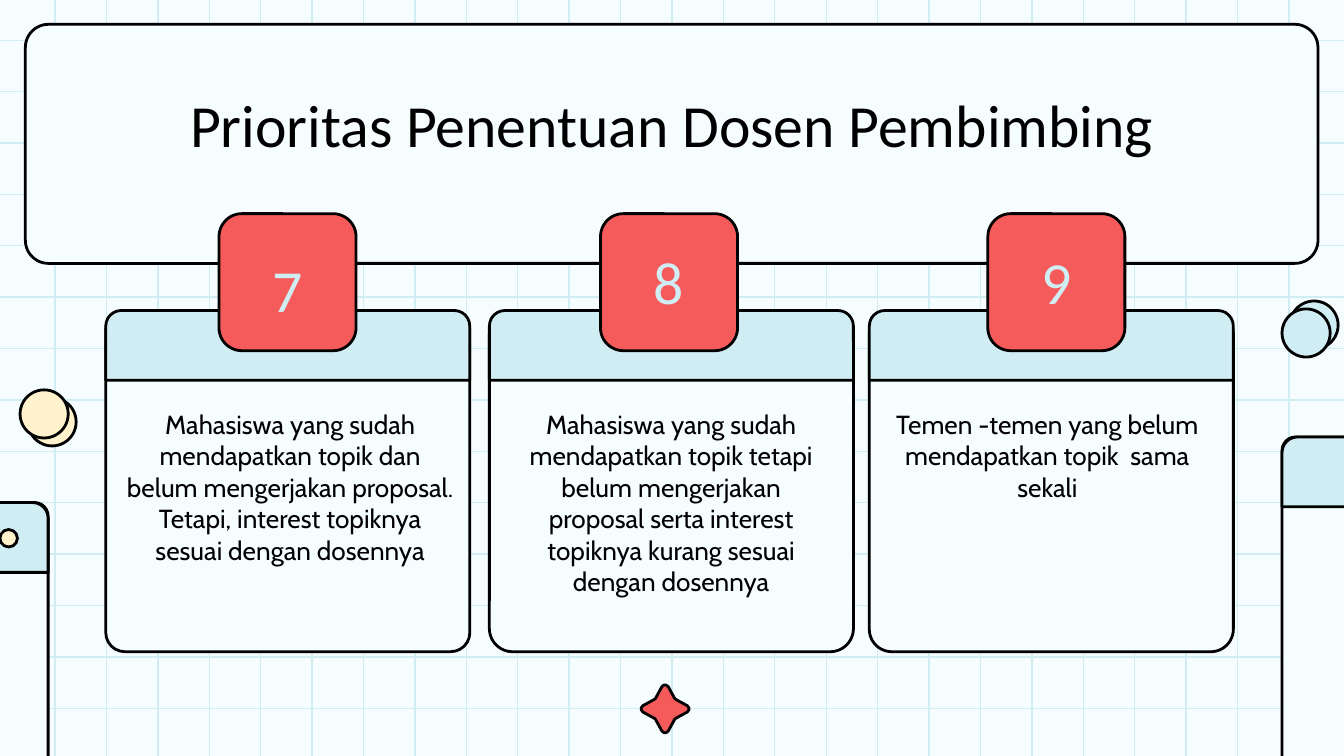
from math import cos, pi, sin
from lxml.etree import SubElement
from pptx import Presentation
from pptx.dml.color import RGBColor
from pptx.enum.shapes import MSO_CONNECTOR, MSO_SHAPE
from pptx.enum.text import MSO_ANCHOR, MSO_AUTO_SIZE, PP_ALIGN
from pptx.oxml.ns import qn
from pptx.util import Cm, Pt

COLORS = {"paper": "F6FDFF", "blue": "D0EDF3", "red": "F55B5B", "cream": "FFF2CC", "ink": "000000"}
TITLE = "Prioritas Penentuan Dosen Pembimbing"
CARDS = [
    {"number": "7", "number_top": 4.52, "left": 2.0, "round": 0.056, "badge": 4.14, "body": (2.08, 6.81),
     "text": "Mahasiswa yang sudah mendapatkan topik dan belum mengerjakan proposal. "
             "Tetapi, interest topiknya sesuai dengan dosennya"},
    {"number": "8", "number_top": 4.37, "left": 9.25, "round": 0.068, "badge": 11.35, "body": (9.6, 6.17),
     "text": "Mahasiswa yang sudah mendapatkan topik tetapi belum mengerjakan proposal "
             "serta interest topiknya kurang sesuai dengan dosennya"},
    {"number": "9", "number_top": 4.37, "left": 16.43, "round": 0.066, "badge": 18.67, "body": (16.43, 6.73),
     "text": "Temen -temen yang belum mendapatkan topik  sama sekali"},
]
SIDE_WINDOWS = [(24.23, 8.26), (-16.31, 9.5)]
DOTS = [
    (0, 10.01, 0.33, "cream"),
    (0.53, 7.52, 0.91, "cream"), (0.38, 7.37, 0.91, "cream"),
    (24.38, 5.69, 0.91, "blue"), (24.23, 5.84, 0.91, "blue"),
]
STAR_CENTER = (12.57, 13.4)
STAR_QUARTER = [(-0.02, -0.45), (0.02, -0.45), (0.06, -0.42), (0.18, -0.2), (0.2, -0.18), (0.42, -0.06), (0.45, -0.02)]
WIDTH, HEIGHT = 25.4, 14.29
BADGE = 2.59

prs = Presentation()
prs.slide_width, prs.slide_height = Cm(WIDTH), Cm(HEIGHT)
s = prs.slides.add_slide(prs.slide_layouts[4])
s.background.fill.solid()
s.background.fill.fore_color.rgb = RGBColor.from_string(COLORS["paper"])


def paint(sp, fill):
    sp.shadow.inherit = False
    sp.fill.solid()
    sp.fill.fore_color.rgb = RGBColor.from_string(COLORS[fill])
    sp.line.color.rgb = RGBColor.from_string(COLORS["ink"])
    sp.line.width = Pt(1.5)


def add_shape(kind, box, fill, *adjustments):
    sp = s.shapes.add_shape(kind, *map(Cm, box))
    for i, value in enumerate(adjustments):
        sp.adjustments[i] = value
    paint(sp, fill)


def add_window(left, top, width, height, rounding):
    add_shape(MSO_SHAPE.ROUNDED_RECTANGLE, (left, top, width, height), "paper", rounding)
    add_shape(MSO_SHAPE.ROUND_2_SAME_RECTANGLE, (left, top, width, 1.32), "blue", 0.222, 0)


def add_grid_line(x1, y1, x2, y2):
    line = s.shapes.add_connector(MSO_CONNECTOR.STRAIGHT, Cm(x1), Cm(y1), Cm(x2), Cm(y2))
    line.line.color.rgb = RGBColor.from_string(COLORS["blue"])
    line.line.width = Pt(0.75)
    SubElement(line._element.spPr, qn("a:effectLst"))


def set_text(sp, box, text, size, font, color):
    sp.left, sp.top, sp.width, sp.height = map(Cm, box)
    s.shapes._spTree.append(sp._element)
    tf = sp.text_frame
    tf.word_wrap = True
    tf.auto_size = MSO_AUTO_SIZE.NONE
    tf.vertical_anchor = MSO_ANCHOR.TOP
    tf.margin_left = tf.margin_right = tf.margin_top = tf.margin_bottom = Cm(0.25)
    p = tf.paragraphs[0]
    p.text = text
    p.alignment = PP_ALIGN.CENTER
    p.space_before = Pt(0)
    p.font.size, p.font.name, p.font.bold = Pt(size), font, False
    p.font.color.rgb = RGBColor.from_string(COLORS[color])
    pPr = p._p.get_or_add_pPr()
    pPr.set("marL", "0")
    pPr.set("indent", "0")
    pPr.insert_element_before(pPr.makeelement(qn("a:buNone")), "a:tabLst", "a:defRPr", "a:extLst")


for i in range(25):
    x = 1.04 + i * 23.32 / 24
    add_grid_line(x, 0, x, HEIGHT)
for i in range(14):
    y = 0.76 + i * 12.63 / 13
    add_grid_line(0, y, WIDTH, y)

add_shape(MSO_SHAPE.ROUNDED_RECTANGLE, (0.48, 0.46, 24.43, 4.52), "paper", 0.097)
for left, top in SIDE_WINDOWS:
    add_window(left, top, 17.22, 7.77, 0.033)
for left, top, size, fill in DOTS:
    add_shape(MSO_SHAPE.OVAL, (left, top, size, size), fill)

star = []
for turn in range(4):
    c, n = cos(turn * pi / 2), sin(turn * pi / 2)
    star += [(Cm(STAR_CENTER[0] + x * c - y * n), Cm(STAR_CENTER[1] + x * n + y * c)) for x, y in STAR_QUARTER]
builder = s.shapes.build_freeform(*star[0])
builder.add_line_segments(star[1:], close=True)
paint(builder.convert_to_shape(), "red")

for card in CARDS:
    add_window(card["left"], 5.87, 6.88, 6.45, card["round"])

set_text(s.shapes.title, (1.3, 1.4, 22.81, 1.6), TITLE, 32, "Calibri", "ink")
bodies = [ph for ph in s.placeholders if 1 <= ph.placeholder_format.idx <= 4]
for card, body in zip(CARDS, bodies):
    left, width = card["body"]
    set_text(body, (left, 7.47, width, 4.22), card["text"], 14, "Cabin", "ink")
for spare in bodies[len(CARDS):]:
    s.shapes._spTree.remove(spare._element)

for card in CARDS:
    add_shape(MSO_SHAPE.ROUNDED_RECTANGLE, (card["badge"], 4.04, BADGE, BADGE), "red", 0.167)
    box = (card["badge"], card["number_top"], BADGE, 1.6)
    set_text(s.shapes.add_textbox(*map(Cm, box)), box, card["number"], 32, "Calibri", "blue")

prs.save("out.pptx")
